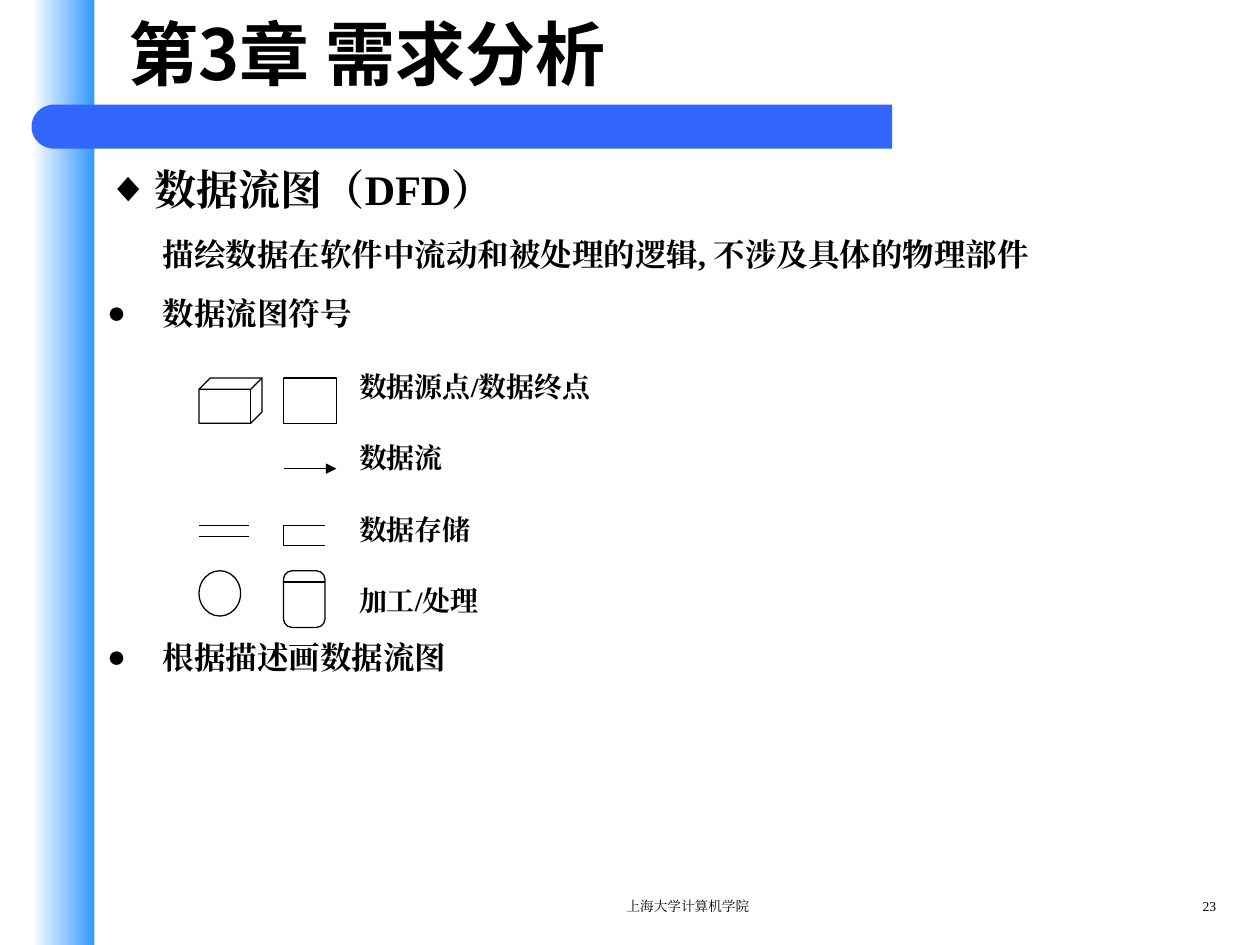
from lxml import etree
from pptx import Presentation
from pptx import util as u
from pptx.dml.color import RGBColor
from pptx.enum import shapes, text
from pptx.oxml.ns import qn

THEME = {
    "black": "000000", "white": "FFFFFF", "sky": "3399FF", "bar": "3366FF",
    "latin": "Times New Roman", "cjk": "Noto Sans CJK SC",
    "title": 40, "topic": 24, "point": 18, "symbol": 16, "footer": 7.8, "line": 0.75,
}

TITLE = "第3章 需求分析"
OUTLINE = [
    ("topic", "◆", "数据流图（DFD）"),
    ("point", None, "描绘数据在软件中流动和被处理的逻辑, 不涉及具体的物理部件"),
    ("point", "●", "数据流图符号"),
    ("symbol", None, "数据源点/数据终点"),
    ("symbol", None, "数据流"),
    ("symbol", None, "数据存储"),
    ("symbol", None, "加工/处理"),
    ("point", "●", "根据描述画数据流图"),
]
LEVELS = {
    "topic": dict(level=0, margin=0.38, hang=0.38, spacing=1),
    "point": dict(level=1, margin=0.44, hang=0.44, spacing=1),
    "symbol": dict(level=4, margin=2.25, hang=0.25, spacing=1.5),
}
FOOTERS = [
    ("上海大学计算机学院", (3.75, 7.08, 3.42, 0.25), text.PP_ALIGN.CENTER),
    ("23", (9, 7.08, 0.75, 0.25), text.PP_ALIGN.RIGHT),
]

LEFT, RIGHT = 1.58, 2.25
SOURCE_Y, FLOW_Y, STORE_Y, PROCESS_Y = 3, 3.72, 4.17, 4.53
KIND = shapes.MSO_SHAPE
SYMBOLS = [
    (KIND.RECTANGLE, (RIGHT, SOURCE_Y, 0.42, 0.36), "white", None),
    (KIND.ROUNDED_RECTANGLE, (RIGHT, PROCESS_Y, 0.33, 0.45), "white", 0.21),
    (KIND.CUBE, (LEFT, SOURCE_Y, 0.5, 0.36), None, 0.25),
    (KIND.OVAL, (LEFT, PROCESS_Y, 0.33, 0.36), None, None),
]
STROKES = [
    (RIGHT, FLOW_Y, 0.42, 0, True),
    (RIGHT, PROCESS_Y + 0.09, 0.33, 0, False),
    (RIGHT, STORE_Y, 0, 0.16, False),
    (RIGHT, STORE_Y + 0.16, 0.33, 0, False),
    (RIGHT, STORE_Y, 0.33, 0, False),
    (LEFT, STORE_Y, 0.4, 0, False),
    (LEFT, STORE_Y + 0.09, 0.4, 0, False),
]


def color(name):
    return RGBColor.from_string(THEME[name])


def place(part, box):
    part.left, part.top, part.width, part.height = map(u.Inches, box)


def write(paragraph, words, size, bold=False, latin="latin", cjk="latin",
          align=text.PP_ALIGN.LEFT):
    paragraph.alignment = align
    run = paragraph.add_run()
    run.text = words
    run.font.size = u.Pt(THEME[size])
    run.font.bold = bold
    run.font.name = THEME[latin]
    run.font.color.rgb = color("black")
    east_asian = etree.Element(qn("a:ea"), typeface=THEME[cjk])
    run.font._element.find(qn("a:latin")).addnext(east_asian)


def set_bullet(paragraph, mark, margin, hang):
    props = paragraph._p.get_or_add_pPr()
    props.set("marL", str(u.Inches(margin)))
    props.set("indent", str(-u.Inches(hang) if mark or margin > 1 else 0))
    if mark:
        tint = etree.SubElement(props, qn("a:buClr"))
        etree.SubElement(tint, qn("a:srgbClr"), val=THEME["black"])
        etree.SubElement(props, qn("a:buFont"), typeface=THEME["latin"])
        etree.SubElement(props, qn("a:buChar"), char=mark)
    else:
        etree.SubElement(props, qn("a:buNone"))


def add_figure(parent, kind, box, fill=None, outlined=False, adjust=None):
    figure = parent.add_shape(kind, *map(u.Inches, box))
    figure.shadow.inherit = False
    if adjust is not None:
        figure.adjustments[0] = adjust
    if fill:
        figure.fill.solid()
        figure.fill.fore_color.rgb = color(fill)
    else:
        figure.fill.background()
    if outlined:
        figure.line.color.rgb = color("black")
        figure.line.width = u.Pt(THEME["line"])
    else:
        figure.line.fill.background()
    return figure


def add_stroke(parent, x, y, dx, dy, arrow):
    stroke = parent.add_connector(shapes.MSO_CONNECTOR.STRAIGHT,
                                  *map(u.Inches, (x, y, x + dx, y + dy)))
    stroke.line.color.rgb = color("black")
    stroke.line.width = u.Pt(THEME["line"])
    if arrow:
        etree.SubElement(stroke.line._get_or_add_ln(), qn("a:tailEnd"), type="triangle")
    etree.SubElement(stroke._element.spPr, qn("a:effectLst"))


def add_decor(slide):
    band = add_figure(slide.shapes, KIND.RECTANGLE, (0.25, 0, 0.5, 7.5))
    band.fill.gradient()
    band.fill.gradient_angle = 0
    for stop, name in zip(band.fill.gradient_stops, ("white", "sky")):
        stop.color.rgb = color(name)
    title_bar = slide.shapes.add_group_shape().shapes
    add_figure(title_bar, KIND.RECTANGLE, (0.6, 0.83, 6.48, 0.35), "bar")
    cap = add_figure(title_bar, KIND.FLOWCHART_DELAY, (0.25, 0.83, 0.36, 0.35), "bar")
    cap.rotation = 180


def add_outline(body):
    place(body, (0.75, 1.25, 8.83, 5.67))
    frame = body.text_frame
    frame.auto_size = text.MSO_AUTO_SIZE.NONE
    for index, (kind, mark, words) in enumerate(OUTLINE):
        paragraph = frame.add_paragraph() if index else frame.paragraphs[0]
        level = LEVELS[kind]
        paragraph.level = level["level"]
        paragraph.line_spacing = level["spacing"]
        paragraph.space_before = u.Pt(12 if index else 0)
        set_bullet(paragraph, mark, level["margin"], level["hang"])
        write(paragraph, words, kind, bold=True)


def main():
    deck = Presentation()
    deck.slide_width, deck.slide_height = u.Inches(10), u.Inches(7.5)
    slide = deck.slides.add_slide(deck.slide_layouts[1])
    add_decor(slide)

    heading = slide.shapes.title
    place(heading, (0.92, 0, 8.67, 0.83))
    heading.text_frame.auto_size = text.MSO_AUTO_SIZE.NONE
    heading.text_frame.vertical_anchor = text.MSO_ANCHOR.MIDDLE
    write(heading.text_frame.paragraphs[0], TITLE, "title", bold=True, latin="cjk", cjk="cjk")
    add_outline(slide.placeholders[1])

    for words, box, align in FOOTERS:
        footer = slide.shapes.add_textbox(*map(u.Inches, box)).text_frame
        footer.word_wrap = True
        write(footer.paragraphs[0], words, "footer", align=align)

    legend = slide.shapes.add_group_shape().shapes
    for kind, box, fill, adjust in SYMBOLS:
        add_figure(legend, kind, box, fill, outlined=True, adjust=adjust)
    for stroke in STROKES:
        add_stroke(legend, *stroke)

    deck.save("out.pptx")


if __name__ == "__main__":
    main()
